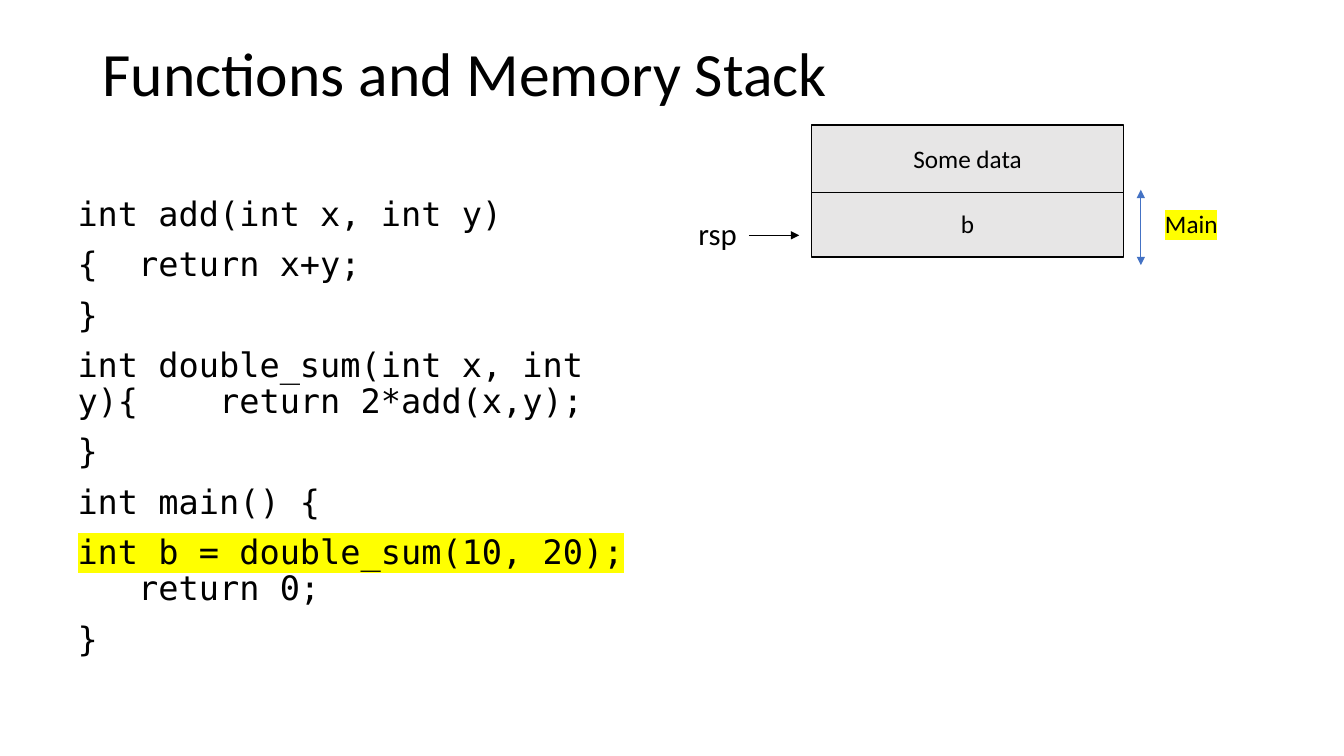
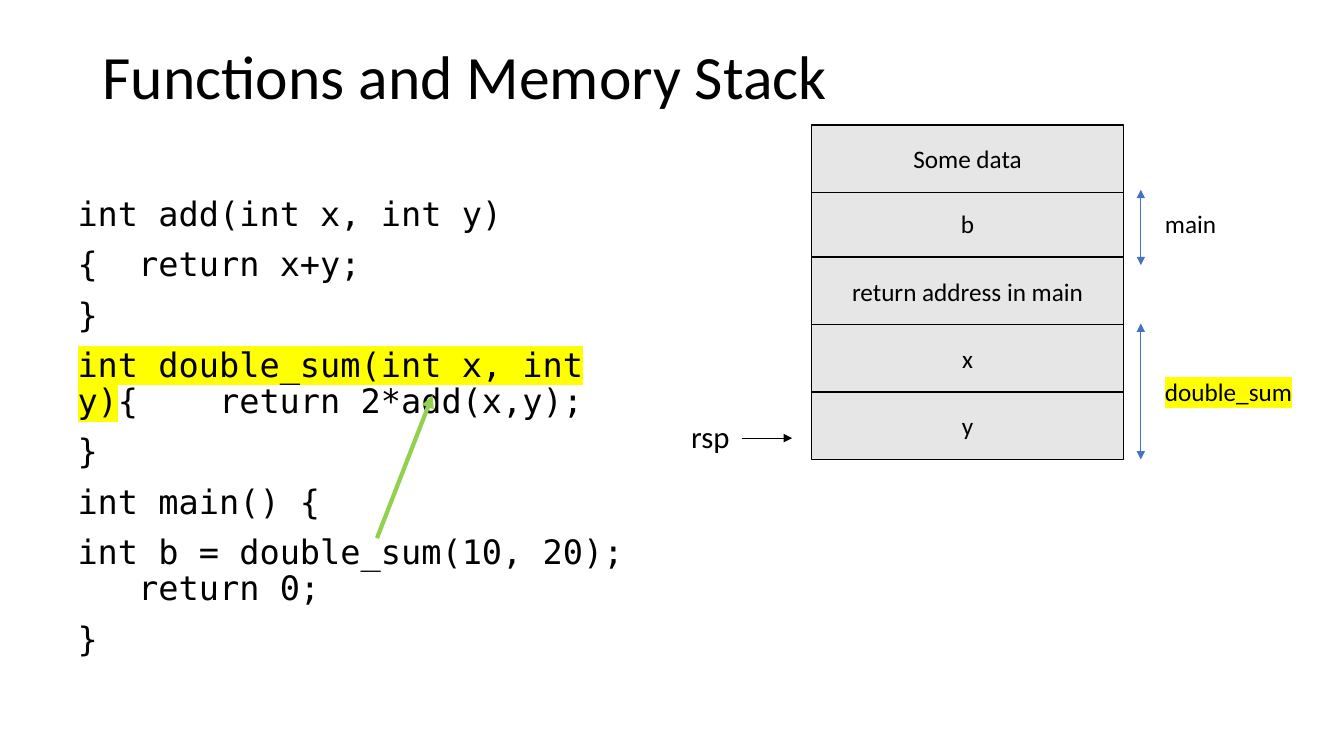
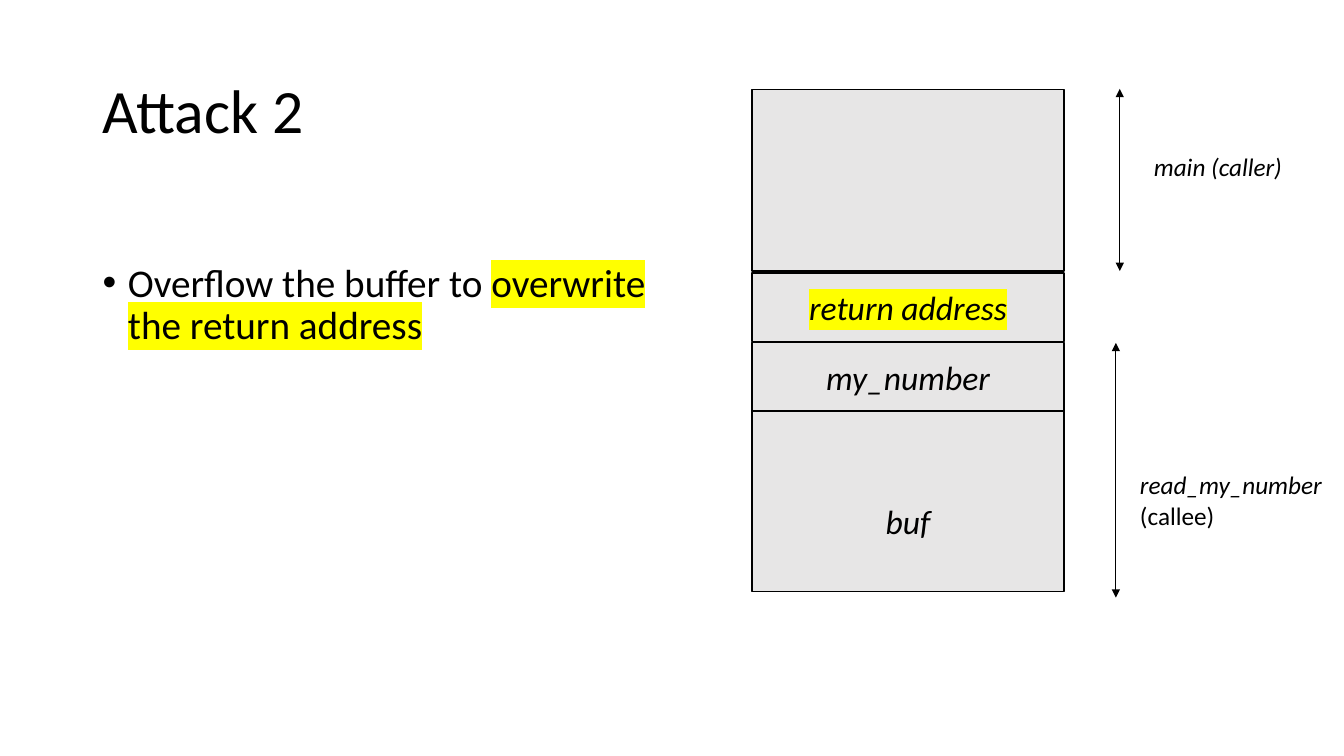
import dataclasses

import pptx
import pptx.dml.color
import pptx.enum.shapes
import pptx.enum.text
import pptx.oxml
import pptx.oxml.ns
import pptx.util

Cm = pptx.util.Cm
Pt = pptx.util.Pt
qn = pptx.oxml.ns.qn
ALIGN = pptx.enum.text.PP_ALIGN
ANCHOR = pptx.enum.text.MSO_ANCHOR
AUTOSIZE = pptx.enum.text.MSO_AUTO_SIZE


@dataclasses.dataclass(frozen=True)
class Theme:
    ink: str = "000000"
    cell: str = "E7E6E6"
    frame: str = "4472C4"
    call: str = "92D050"
    mark: str = "FFFF00"
    sans: str = "Calibri"
    mono: str = "DejaVu Sans Mono"
    title_size: int = 44
    bullet_size: int = 28
    code_size: int = 24
    cell_size: int = 24
    pointer_size: int = 22
    label_size: int = 18
    cell_line: float = 1
    thin_line: float = 0.5
    call_line: float = 3


THEME = Theme()


@dataclasses.dataclass(frozen=True)
class Box:
    """A region in centimetres."""
    left: float
    top: float
    width: float
    height: float

    def place(self):
        return tuple(Cm(v) for v in dataclasses.astuple(self))


BODY_SPACING = {"line_spacing": 0.9, "space_before": Pt(10), "alignment": ALIGN.LEFT}
CENTRED = {"alignment": ALIGN.CENTER}
CODE = [
    "int add(int x, int y)",
    "{  return x+y;",
    "}",
    "int double_sum(int x, int y){    return 2*add(x,y);",
    "}",
    "int main() {",
    "int b = double_sum(10, 20);    return 0;",
    "}",
]


# Formatting helpers
def apply(target, values):
    for name, value in values.items():
        setattr(target, name, value)


def rgb(colour):
    return pptx.dml.color.RGBColor.from_string(colour)


def add_node(parent, tag, **attributes):
    node = pptx.oxml.ns.nsdecls("a")
    child = pptx.oxml.parse_xml(f"<a:{tag} {node}/>")
    for name, value in attributes.items():
        child.set(name, value)
    parent.append(child)
    return child


def split_marks(text, marks):
    """Yield (piece, is_marked) for the marked parts, in order."""
    for mark in marks:
        before, hit, after = text.partition(mark)
        if hit:
            yield before, False
            yield hit, True
            text = after
    yield text, False


def add_run(paragraph, text, size, font=THEME.sans, italic=False, marked=False):
    run = paragraph.add_run()
    run.text = text
    apply(run.font, {"size": Pt(size), "name": font, "italic": italic})
    run.font.color.rgb = rgb(THEME.ink)
    if marked:
        properties = run.font._element
        highlight = add_node(properties, "highlight")
        add_node(highlight, "srgbClr", val=THEME.mark)
        properties.find(qn("a:solidFill")).addnext(highlight)


def write(frame, lines, spacing, marks=(), **style):
    for index, line in enumerate(lines):
        paragraph = frame.add_paragraph() if index else frame.paragraphs[0]
        apply(paragraph, spacing)
        for piece, marked in split_marks(line, marks):
            if piece:
                add_run(paragraph, piece, marked=marked, **style)


def arrow(slide, start, end, colour, width=THEME.thin_line, both=False):
    line = slide.shapes.add_connector(
        pptx.enum.shapes.MSO_CONNECTOR.STRAIGHT, *(Cm(v) for v in start + end))
    line.line.color.rgb = rgb(colour)
    line.line.width = Pt(width)
    properties = line._element.spPr
    stroke = properties.find(qn("a:ln"))
    if both:
        add_node(stroke, "headEnd", type="triangle")
    add_node(stroke, "tailEnd", type="triangle")
    add_node(properties, "effectLst")


# Regions
def put_placeholder(holder, box, anchor):
    apply(holder, dict(zip(("left", "top", "width", "height"), box.place())))
    apply(holder.text_frame, {"auto_size": AUTOSIZE.NONE, "word_wrap": True,
                              "vertical_anchor": anchor})
    return holder.text_frame


def titled_slide(deck, title, top):
    slide = deck.slides.add_slide(deck.slide_layouts[1])
    frame = put_placeholder(slide.shapes.title, Box(2.33, top, 29.21, 3.68), ANCHOR.MIDDLE)
    write(frame, [title], {"line_spacing": 0.9, "alignment": ALIGN.LEFT},
          size=THEME.title_size)
    return slide


def body(slide, box, lines, marks, indent=0.0, bullet="", **style):
    frame = put_placeholder(slide.placeholders[1], box, ANCHOR.TOP)
    write(frame, lines, BODY_SPACING, marks, **style)
    for paragraph in frame.paragraphs:
        properties = paragraph._p.get_or_add_pPr()
        properties.set("marL", str(Cm(indent)))
        properties.set("indent", str(-Cm(indent)))
        if bullet:
            add_node(properties, "buFont", typeface="Arial")
            add_node(properties, "buChar", char=bullet)
        else:
            add_node(properties, "buNone")
    return frame


def memory_cell(slide, box, text, size, italic, marks, drop=0.0):
    cell = slide.shapes.add_shape(pptx.enum.shapes.MSO_SHAPE.RECTANGLE, *box.place())
    cell.shadow.inherit = False
    cell.fill.solid()
    cell.fill.fore_color.rgb = rgb(THEME.cell)
    cell.line.color.rgb = rgb(THEME.ink)
    cell.line.width = Pt(THEME.cell_line)
    apply(cell.text_frame, {"word_wrap": True, "vertical_anchor": ANCHOR.MIDDLE,
                            "margin_top": Cm(0.13 + drop)})
    if text:
        write(cell.text_frame, [text], CENTRED, marks, size=size, italic=italic)


def memory_stack(slide, box, cells, size, italic=False, marks=()):
    """Cells are (text, offset, height[, text drop]); upper cells overlap lower ones."""
    for text, offset, height, *drop in reversed(cells):
        memory_cell(slide, Box(box.left, box.top + offset, box.width, height),
                    text, size, italic, marks, *drop)


def label(slide, box, text, size, italic=False, marks=(), note=""):
    frame = slide.shapes.add_textbox(*box.place()).text_frame
    apply(frame, {"word_wrap": True, "auto_size": AUTOSIZE.SHAPE_TO_FIT_TEXT})
    write(frame, [text], {}, marks, size=size, italic=italic)
    if note:
        add_run(frame.paragraphs[0], note, size)


def stack_frame(slide, box, text, drop, gap=0.36, colour=THEME.frame,
                label_height=1.02, **style):
    """Double arrow along the left edge of the box, with its label beside it."""
    arrow(slide, (box.left, box.top), (box.left, box.top + box.height), colour, both=True)
    label(slide, Box(box.left + gap, box.top + drop, box.width - gap, label_height),
          text, THEME.label_size, **style)


def stack_pointer(slide, box):
    name_width, middle = 1.52, box.top + 0.65
    label(slide, Box(box.left, box.top, name_width, box.height), "rsp", THEME.pointer_size)
    arrow(slide, (box.left + name_width, middle), (box.left + box.width, middle), THEME.ink)


# Slides
def call_slide(deck, title_top, names, lit_code, pointer):
    slide = titled_slide(deck, "Functions and Memory Stack", title_top)
    body(slide, Box(1.7, 4.85, 14.4, 12.29), CODE, [lit_code],
         size=THEME.code_size, font=THEME.mono)
    cells = [("Some data", 0, 1.7)]
    cells += [(name, 1.63 + 1.7 * row, 1.7) for row, name in enumerate(names)]
    memory_stack(slide, Box(20.45, 3.15, 7.87, 1.7 * len(cells)), cells, THEME.label_size)
    stack_pointer(slide, pointer)
    return slide


def main_running(deck):
    slide = call_slide(deck, 0.1, ["b"], "int b = double_sum(10, 20);",
                       Box(17.35, 5.28, 2.79, 1.19))
    stack_frame(slide, Box(28.75, 4.78, 2.8, 1.9), "Main", 0.35, marks=["Main"])


def double_sum_running(deck):
    slide = call_slide(deck, 0.16, ["b", "return address in main", "x", "y"],
                       "int double_sum(int x, int y)", Box(17.17, 10.39, 2.79, 1.19))
    stack_frame(slide, Box(28.75, 4.78, 2.8, 1.9), "main", 0.35)
    stack_frame(slide, Box(28.75, 8.15, 4.4, 3.43), "double_sum", 1.2, marks=["double_sum"])
    arrow(slide, (9.5, 13.56), (10.9, 9.96), THEME.call, THEME.call_line)


def attack(deck):
    slide = titled_slide(deck, "Attack 2", 1.02)
    frame = body(slide, Box(2.33, 5.07, 14.4, 12.09),
                 ["Overflow the buffer to overwrite the return address"],
                 ["overwrite", "the return address"],
                 indent=0.64, bullet="•", size=THEME.bullet_size)
    frame.margin_top = Cm(1.57)
    cells = [("", 0, 4.57), ("return address", 4.62, 1.73),
             ("my_number", 6.37, 1.73), ("buf", 8.08, 4.57, 1.03)]
    memory_stack(slide, Box(18.95, 2.26, 7.87, 12.65), cells, THEME.cell_size,
                 italic=True, marks=["return address"])
    stack_frame(slide, Box(28.22, 2.24, 5.56, 4.59), "main (caller)", 1.44,
                gap=0.61, colour=THEME.ink, italic=True)
    stack_frame(slide, Box(28.12, 8.64, 5.73, 6.42), "read_my_number ", 3.07,
                colour=THEME.ink, label_height=1.8, italic=True, note="(callee)")


def main():
    deck = pptx.Presentation()
    apply(deck, {"slide_width": Cm(33.87), "slide_height": Cm(19.05)})
    for build in (main_running, double_sum_running, attack):
        build(deck)
    deck.save("out.pptx")


if __name__ == "__main__":
    main()
